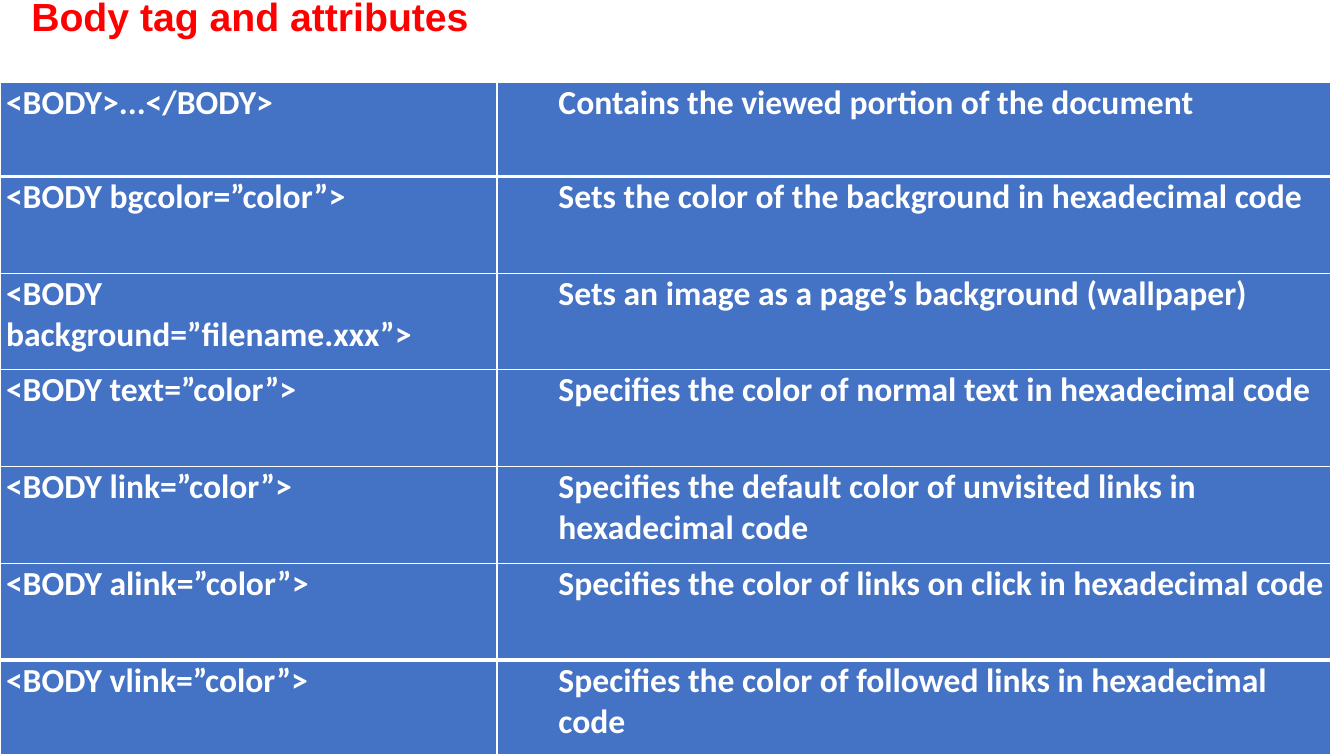
from lxml.etree import SubElement
from pptx import Presentation
from pptx.dml.color import RGBColor
from pptx.enum.text import MSO_ANCHOR, MSO_AUTO_SIZE, PP_ALIGN
from pptx.oxml import parse_xml
from pptx.oxml.ns import nsdecls
from pptx.util import Inches, Pt

TAGS = [
    ("<BODY>...</BODY>", "Contains the viewed portion of the document"),
    ("<BODY bgcolor=”color”>", "Sets the color of the background in hexadecimal code"),
    ("<BODY background=”filename.xxx”>", "Sets an image as a page’s background (wallpaper)"),
    ("<BODY text=”color”>", "Specifies the color of normal text in hexadecimal code"),
    ("<BODY link=”color”>", "Specifies the default color of unvisited links in hexadecimal code"),
    ("<BODY alink=”color”>", "Specifies the color of links on click in hexadecimal code"),
    ("<BODY vlink=”color”>", "Specifies the color of followed links in hexadecimal code"),
]


def rgb(value):
    return RGBColor.from_string(value)


class Deck:
    RED, BLUE, WHITE = "FF0000", "4472C4", "FFFFFF"
    HEAD_FONT, BODY_FONT = "Arial", "Calibri"
    INDENTS = (0.06, 0.61)

    def __init__(self):
        self.prs = Presentation()
        self.prs.slide_width, self.prs.slide_height = Inches(13.33), Inches(7.5)
        self.s = self.prs.slides.add_slide(self.prs.slide_layouts[5])

    def x(self, percent):
        return round(self.prs.slide_width * percent / 100)

    def y(self, percent):
        return round(self.prs.slide_height * percent / 100)

    def font(self, p, name, size, color):
        p.font.name, p.font.size, p.font.bold = name, Pt(size), True
        p.font.color.rgb = rgb(color)
        p.alignment = PP_ALIGN.LEFT

    def title(self, text, left, top, width, height):
        sp = self.s.shapes.title
        sp.left, sp.top = self.x(left), self.y(top)
        sp.width, sp.height = self.x(width), self.y(height)
        tf = sp.text_frame
        tf.text = text
        tf.margin_left = tf.margin_top = tf.margin_right = tf.margin_bottom = 0
        tf.vertical_anchor, tf.auto_size = MSO_ANCHOR.TOP, MSO_AUTO_SIZE.NONE
        tf.word_wrap = True
        p = tf.paragraphs[0]
        p.line_spacing = Pt(15.2)
        self.font(p, self.HEAD_FONT, 28, self.RED)

    def borders(self, cell, top, bottom):
        tcPr = cell._tc.get_or_add_tcPr()
        for i, (side, width) in enumerate(zip("LRTB", (1, 1, top, bottom))):
            ln = parse_xml(f'<a:ln{side} {nsdecls("a")} w="{Pt(width)}"/>')
            fill = SubElement(ln, f"{{{ln.nsmap['a']}}}solidFill")
            SubElement(fill, f"{{{ln.nsmap['a']}}}srgbClr", val=self.WHITE)
            tcPr.insert(i, ln)

    def cell(self, cell, text, indent, space):
        cell.text = text
        cell.margin_left = cell.margin_top = cell.margin_right = cell.margin_bottom = 0
        cell.vertical_anchor = MSO_ANCHOR.TOP
        cell.fill.solid()
        cell.fill.fore_color.rgb = rgb(self.BLUE)
        p = cell.text_frame.paragraphs[0]
        p.space_before = Pt(space)
        self.font(p, self.BODY_FONT, 24, self.WHITE)
        pPr = p._p.get_or_add_pPr()
        pPr.set("marL", str(Inches(indent)))
        pPr.set("indent", "0")

    def table(self, rows, left, top, widths, heights):
        tb = self.s.shapes.add_table(
            len(rows), len(widths), self.x(left), self.y(top),
            self.x(sum(widths)), self.y(sum(heights))).table
        tb.first_row = tb.horz_banding = False
        for col, width in zip(tb.columns, widths):
            col.width = self.x(width)
        last = len(rows) - 1
        for i, texts in enumerate(rows):
            tb.rows[i].height = self.y(heights[i])
            for j, text in enumerate(texts):
                cell = tb.cell(i, j)
                space = (2.3, 1.9)[j] if i else (1.9, 1.5)[j]
                self.cell(cell, text, self.INDENTS[j], space)
                self.borders(cell, 3 if i in (1, last) else 1, 3 if i in (0, last - 1) else 1)


def main():
    deck = Deck()
    deck.title("Body tag and attributes", 2.33, 2.4, 38.18, 6.67)
    deck.table(TAGS, 0, 10.93, [36.98, 62.04], [12.4] + [12.8] * 5 + [12.53])
    deck.prs.save("out.pptx")


if __name__ == "__main__":
    main()
